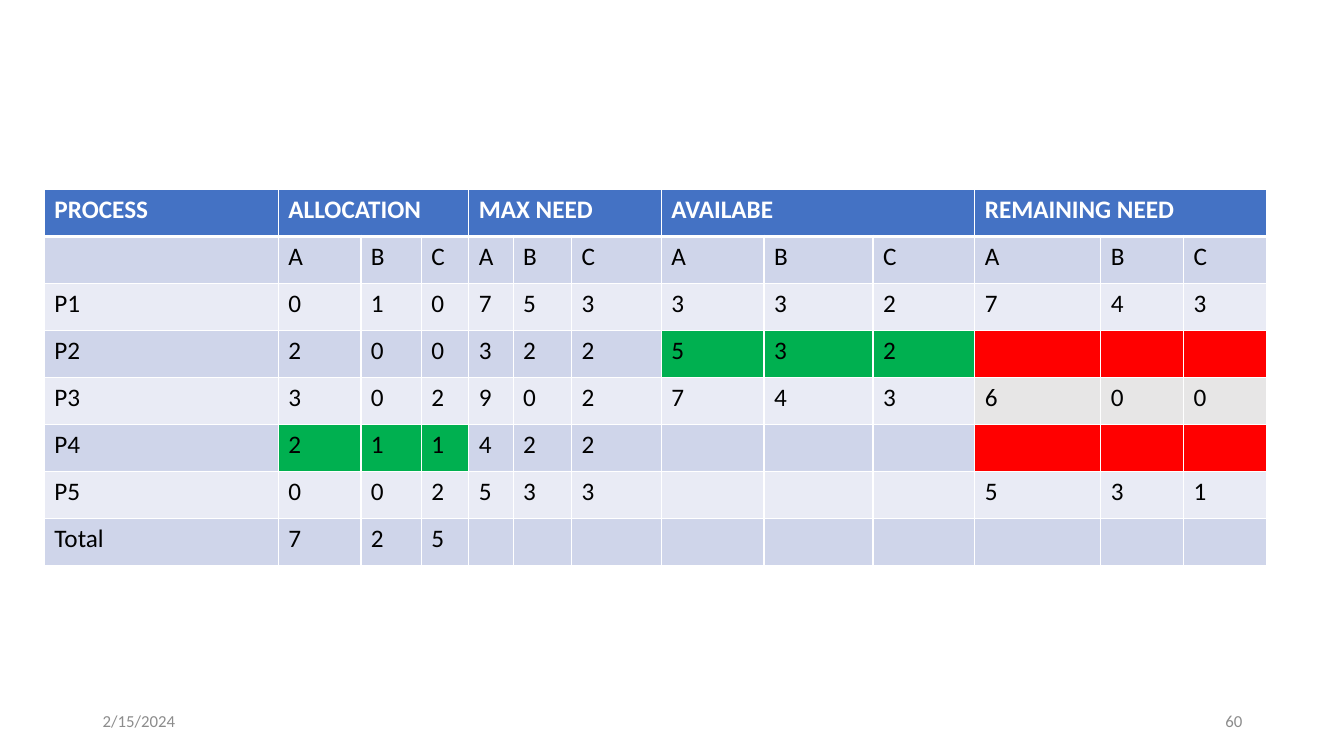
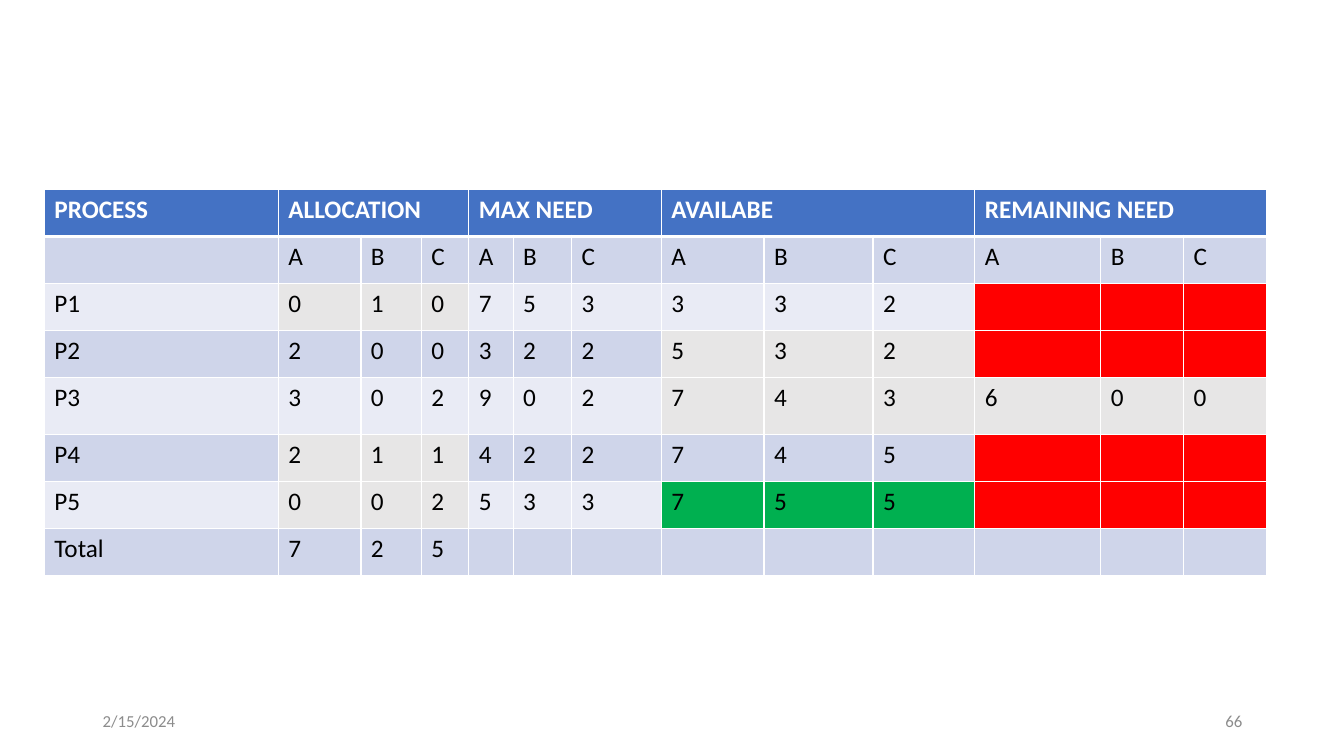
from dataclasses import dataclass

from lxml import etree
from pptx import Presentation
from pptx.dml.color import RGBColor
from pptx.enum.text import MSO_ANCHOR, PP_ALIGN
from pptx.oxml.ns import qn
from pptx.util import Inches, Pt

LEFT, RIGHT = PP_ALIGN.LEFT, PP_ALIGN.RIGHT
MIDDLE = MSO_ANCHOR.MIDDLE


@dataclass(frozen=True)
class Theme:
    """Colours, font and type sizes shared by the slides."""
    font: str = "Calibri"
    body_size: int = 18
    footer_size: int = 12
    header: str = "4472C4"
    bands: tuple = ("E9EBF5", "CFD5EA")
    white: str = "FFFFFF"
    text: str = "000000"
    footer: str = "8C8C8C"
    green: str = "00B050"
    red: str = "FF0000"
    grey: str = "E7E6E6"


THEME = Theme()
GROUP_SIZE = 3
ALLOCATION, MAX_NEED, AVAILABLE, REMAINING = range(4)
HEADINGS = ("PROCESS", "ALLOCATION", "MAX NEED", "AVAILABE", "REMAINING NEED")
COL_WIDTHS = (2.32, 0.82, 0.6, 0.47, 0.44, 0.58, 0.89,
              1.02, 1.08, 1.01, 1.25, 0.82, 0.82)
ROW_HEIGHT = 3.73 / 8
TABLE_LEFT, TABLE_TOP = 0.44, 1.88
DATE = "2/15/2024"

PROCESSES = ("P1", "P2", "P3", "P4", "P5")
ALLOCATED = ("010", "200", "302", "211", "002")
MAXIMUM = ("753", "322", "902", "422", "533")

STEPS = (
    {
        "number": "60",
        "available": ("332", "532", "743", "", ""),
        "remaining": ("743", "", "600", "", "531"),
        "marks": {
            ("P2", AVAILABLE): THEME.green,
            ("P4", ALLOCATION): THEME.green,
            ("P2", REMAINING): THEME.red,
            ("P4", REMAINING): THEME.red,
            ("P3", REMAINING): THEME.grey,
        },
        "heights": {},
    },
    {
        "number": "66",
        "available": ("332", "532", "743", "745", "755"),
        "remaining": ("", "", "600", "", ""),
        "marks": {
            **{(name, ALLOCATION): THEME.grey for name in ("P1", "P4", "P5")},
            **{(name, AVAILABLE): THEME.grey for name in ("P2", "P3")},
            **{(name, REMAINING): THEME.red for name in ("P1", "P2", "P4", "P5")},
            ("P3", REMAINING): THEME.grey,
            ("P5", AVAILABLE): THEME.green,
        },
        "heights": {"P3": 0.57},
    },
)


def add_run(p, text, size, color, bold=False):
    """Append one formatted run to a paragraph."""
    r = p.add_run()
    r.text = text
    r.font.name = THEME.font
    r.font.size = Pt(size)
    r.font.bold = bold
    r.font.color.rgb = RGBColor.from_string(color)


def add_footer(s, text, left, align):
    """Add one footer text box."""
    tf = s.shapes.add_textbox(Inches(left), Inches(6.95), Inches(3), Inches(0.4)).text_frame
    tf.word_wrap = True
    tf.vertical_anchor = MIDDLE
    p = tf.paragraphs[0]
    p.alignment = align
    add_run(p, text, THEME.footer_size, THEME.footer)


def set_borders(cell, top, bottom):
    """Give a cell white borders, with top and bottom widths in points."""
    tc_pr = cell._tc.get_or_add_tcPr()
    for tag, width in (("a:lnL", 1), ("a:lnR", 1), ("a:lnT", top), ("a:lnB", bottom)):
        ln = etree.SubElement(tc_pr, qn(tag), w=str(Pt(width)))
        fill = etree.SubElement(ln, qn("a:solidFill"))
        etree.SubElement(fill, qn("a:srgbClr"), val=THEME.white)


def format_cell(cell, text, fill, color=THEME.text, bold=False, top=1, bottom=1):
    """Set the borders, fill and text of a cell."""
    set_borders(cell, top, bottom)
    cell.fill.solid()
    cell.fill.fore_color.rgb = RGBColor.from_string(fill)
    if text:
        add_run(cell.text_frame.paragraphs[0], text, THEME.body_size, color, bold)


def body_rows(step):
    """Return the rows under the heading as a name and four groups of values."""
    values = zip(PROCESSES, ALLOCATED, MAXIMUM, step["available"], step["remaining"])
    return [("", *["ABC"] * 4), *values, ("Total", "725", "", "", "")]


def fill_header(table):
    """Fill the heading row and merge the cells of each group."""
    starts = (0, *range(1, len(COL_WIDTHS), GROUP_SIZE))
    headings = dict(zip(starts, HEADINGS))
    for col in range(len(COL_WIDTHS)):
        format_cell(table.cell(0, col), headings.get(col, ""), THEME.header,
                    THEME.white, bold=True, bottom=3)
    for col in starts[1:]:
        table.cell(0, col).merge(table.cell(0, col + GROUP_SIZE - 1))


def fill_row(table, row, name, groups, marks):
    """Fill one body row, colouring its marked groups."""
    band = THEME.bands[row % 2]
    top = 3 if row == 1 else 1
    format_cell(table.cell(row, 0), name, band, top=top)
    for group, values in enumerate(groups):
        fill = marks.get((name, group), band)
        for i in range(GROUP_SIZE):
            cell = table.cell(row, 1 + group * GROUP_SIZE + i)
            format_cell(cell, values[i:i + 1], fill, top=top)


def add_allocation_table(s, step):
    """Add the resource table for one step."""
    rows = body_rows(step)
    heights = [ROW_HEIGHT] + [step["heights"].get(row[0], ROW_HEIGHT) for row in rows]
    table = s.shapes.add_table(
        len(heights), len(COL_WIDTHS), Inches(TABLE_LEFT), Inches(TABLE_TOP),
        Inches(sum(COL_WIDTHS)), Inches(sum(heights))).table
    table.horz_banding = False
    for column, width in zip(table.columns, COL_WIDTHS):
        column.width = Inches(width)
    for row, height in zip(table.rows, heights):
        row.height = Inches(height)
    fill_header(table)
    for row, (name, *groups) in enumerate(rows, 1):
        fill_row(table, row, name, groups, step["marks"])


def main():
    """Build and save the presentation."""
    prs = Presentation()
    prs.slide_width, prs.slide_height = Inches(13.33), Inches(7.5)
    for step in STEPS:
        s = prs.slides.add_slide(prs.slide_layouts[6])
        add_footer(s, DATE, 0.92, LEFT)
        add_footer(s, step["number"], 9.42, RIGHT)
        add_allocation_table(s, step)
    prs.save("out.pptx")


if __name__ == "__main__":
    main()
